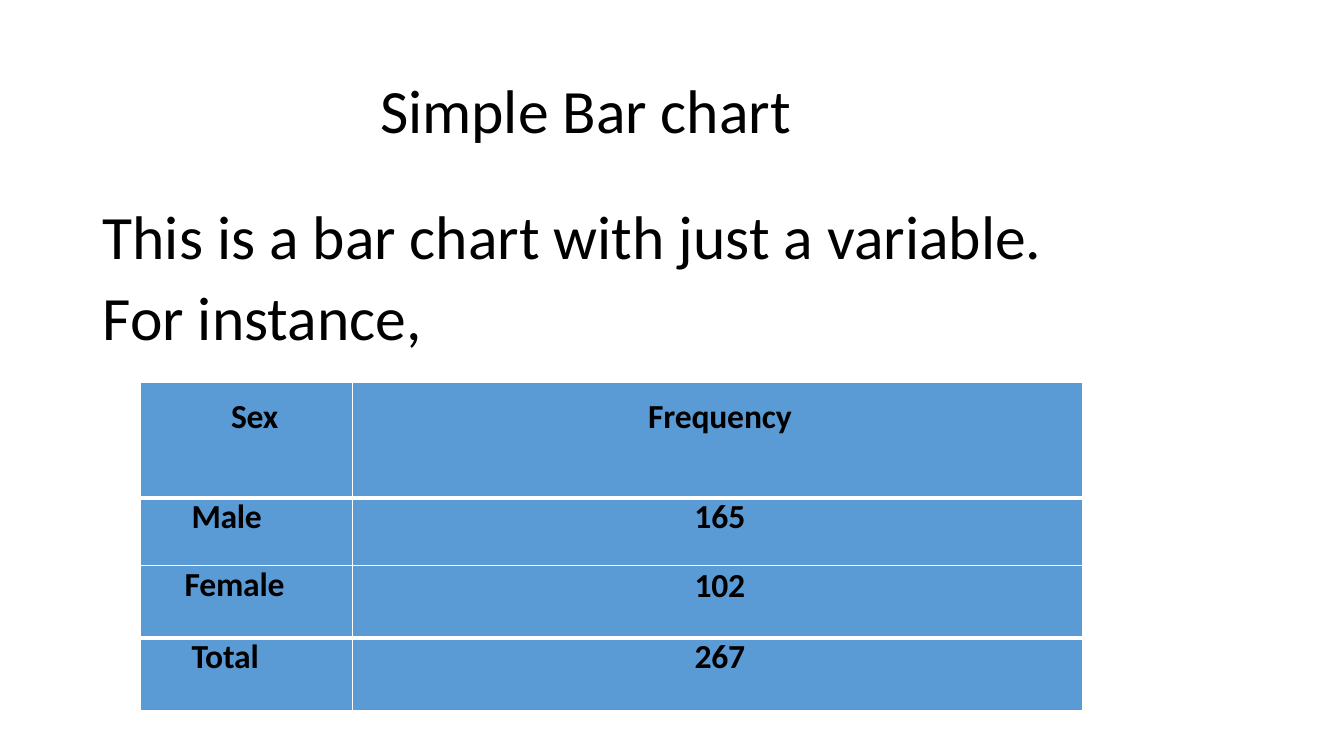
from dataclasses import dataclass

from lxml.etree import SubElement
from pptx import Presentation
from pptx.dml.color import RGBColor
from pptx.enum.text import MSO_ANCHOR as Anchor, PP_ALIGN as Align
from pptx.oxml.ns import qn
from pptx.util import Inches, Pt


@dataclass(frozen=True)
class Theme:
    font: str = "Calibri"
    text: RGBColor = RGBColor(0, 0, 0)
    cell: RGBColor = RGBColor(0x5B, 0x9B, 0xD5)
    border: str = "FFFFFF"
    heading_size: int = 44
    cell_size: int = 24
    thin: int = 1
    thick: int = 3


@dataclass(frozen=True)
class TextBlock:
    left: float
    top: float
    width: float
    height: float
    lines: tuple[str, ...]
    inset: float = 0.1
    anchor: Anchor = Anchor.TOP


@dataclass(frozen=True)
class CellText:
    text: str
    top: float
    indent: float = 0.04
    align: Align = Align.CENTER
    spacing: int = 0


@dataclass(frozen=True)
class Row:
    height: float
    cells: tuple[CellText, CellText]
    top_border: int = 1
    bottom_border: int = 1


THEME = Theme()

BLOCKS = (
    TextBlock(0.92, 0.4, 11.5, 1.45, ("Simple Bar chart",), 2.85, Anchor.MIDDLE),
    TextBlock(0.92, 2, 11.5, 4.76,
              ("This is a bar chart with just a variable.", "For instance,")),
)

COLUMN_WIDTHS = (2.11, 7.24)
ROWS = (
    Row(1.15, (CellText("Sex", 0.36, 0.16, spacing=-20),
               CellText("Frequency", 0.36, spacing=-10)),
        bottom_border=THEME.thick),
    Row(0.67, (CellText("Male", 0.2, 0.51, Align.LEFT, -20),
               CellText("165", 0.2)),
        top_border=THEME.thick),
    Row(0.72, (CellText("Female", 0.21, 0.44, Align.LEFT, -10),
               CellText("102", 0.22, spacing=-20)),
        bottom_border=THEME.thick),
    Row(0.72, (CellText("Total", 0.2, 0.51, Align.LEFT, -10),
               CellText("267", 0.2, spacing=-20)),
        top_border=THEME.thick),
)


def style_paragraph(p, size: int, bold: bool = False) -> None:
    p.font.name = THEME.font
    p.font.size = Pt(size)
    p.font.bold = bold
    p.font.color.rgb = THEME.text


def add_text_block(s, block: TextBlock) -> None:
    sp = s.shapes.add_textbox(Inches(block.left), Inches(block.top),
                              Inches(block.width), Inches(block.height))
    tf = sp.text_frame
    tf.word_wrap = True
    tf.vertical_anchor = block.anchor
    tf.margin_left = Inches(block.inset)
    tf.text = "\n".join(block.lines)
    for p in tf.paragraphs:
        p.line_spacing = 0.9
        p.space_before = Pt(10)
        style_paragraph(p, THEME.heading_size)


def add_borders(cell, row: Row) -> None:
    tc_pr = cell._tc.get_or_add_tcPr()
    widths = {"a:lnL": THEME.thin, "a:lnR": THEME.thin,
              "a:lnT": row.top_border, "a:lnB": row.bottom_border}
    for tag, width in widths.items():
        line = SubElement(tc_pr, qn(tag), w=str(Pt(width)))
        fill = SubElement(line, qn("a:solidFill"))
        SubElement(fill, qn("a:srgbClr"), val=THEME.border)


def fill_cell(cell, content: CellText, row: Row) -> None:
    add_borders(cell, row)
    cell.fill.solid()
    cell.fill.fore_color.rgb = THEME.cell
    cell.margin_left = Inches(content.indent)
    cell.margin_top = Inches(content.top)
    cell.margin_right = cell.margin_bottom = 0
    p = cell.text_frame.paragraphs[0]
    p.alignment = content.align
    p.line_spacing = Pt(13.6)
    style_paragraph(p, THEME.cell_size, bold=True)
    r = p.add_run()
    r.text = content.text
    if content.spacing:
        r.font._element.set("spc", str(content.spacing))


def add_frequency_table(s) -> None:
    height = sum(row.height for row in ROWS)
    table = s.shapes.add_table(len(ROWS), len(COLUMN_WIDTHS), Inches(1.39), Inches(3.79),
                               Inches(sum(COLUMN_WIDTHS)), Inches(height)).table
    for column, width in zip(table.columns, COLUMN_WIDTHS):
        column.width = Inches(width)
    for i, row in enumerate(ROWS):
        table.rows[i].height = Inches(row.height)
        for j, content in enumerate(row.cells):
            fill_cell(table.cell(i, j), content, row)


def main() -> None:
    prs = Presentation()
    prs.slide_width = Inches(13.33)
    prs.slide_height = Inches(7.5)
    s = prs.slides.add_slide(prs.slide_layouts[6])
    for block in BLOCKS:
        add_text_block(s, block)
    add_frequency_table(s)
    prs.save("out.pptx")


if __name__ == "__main__":
    main()
